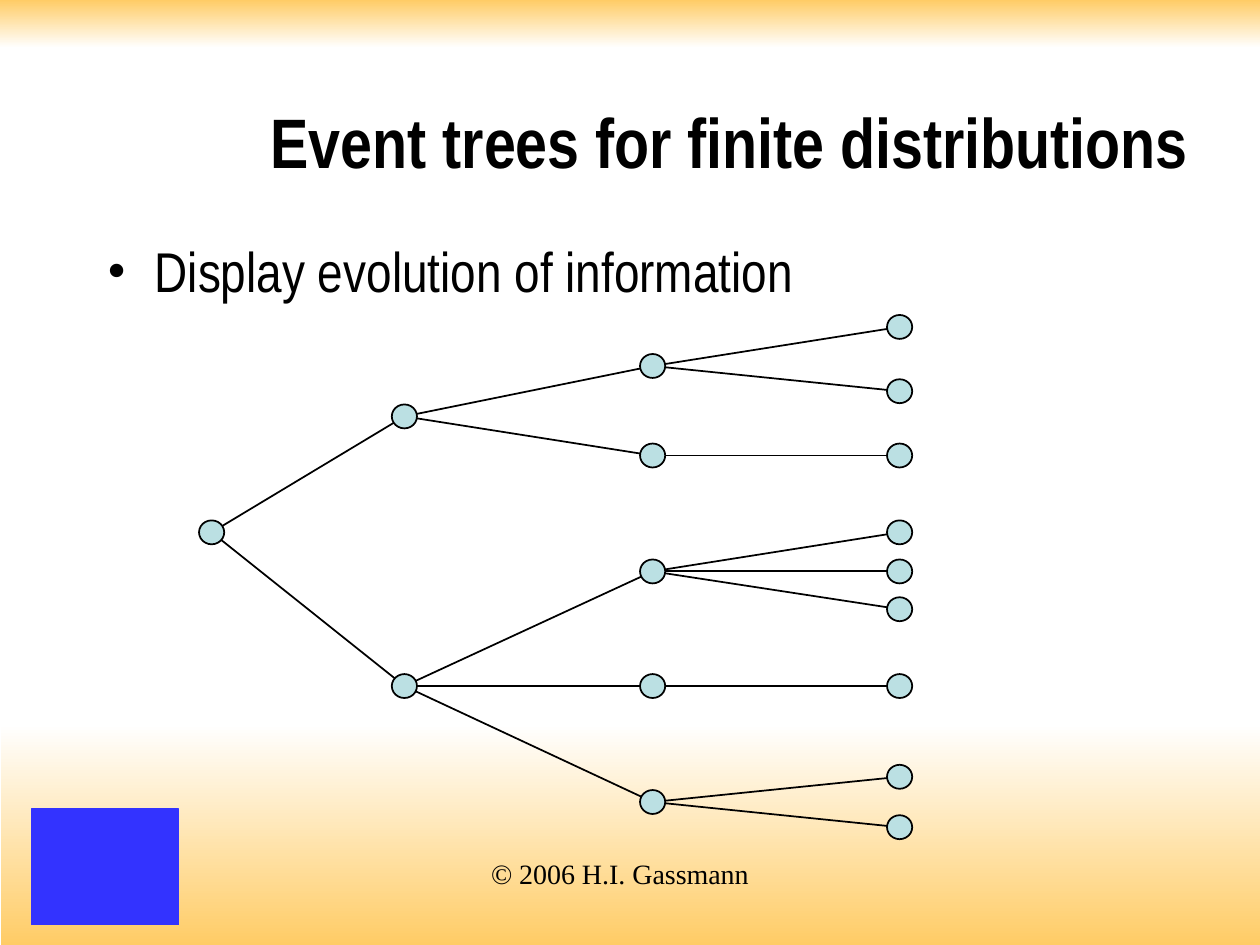
from dataclasses import dataclass

import pptx
import pptx.dml.color
import pptx.enum.shapes
import pptx.enum.text
import pptx.oxml.ns
import pptx.util
from lxml import etree
from pptx.util import Inches


@dataclass(frozen=True)
class Theme:
    text: str = "000000"
    line: str = "000000"
    node: str = "BBE0E3"
    band: str = "FFCC66"
    paper: str = "FFFFFF"
    block: str = "3333FF"
    heading_font: str = "Arial Narrow"
    footer_font: str = "Times New Roman"
    title_size: int = 40
    body_size: int = 32
    footer_size: int = 16
    line_width: float = 1


THEME = Theme()

NODE_WIDTH, NODE_HEIGHT = 0.2, 0.19
STAGE_LEFTS = (0, 1.53, 3.5, 5.46)

# Each node is its offset from the top of the tree and its list of children
EVENT_TREE = (1.63, [
    (0.71, [
        (0.31, [(0, []), (0.51, [])]),
        (1.02, [(1.02, [])]),
    ]),
    (2.85, [
        (1.94, [(1.63, []), (1.94, []), (2.24, [])]),
        (2.85, [(2.85, [])]),
        (3.77, [(3.57, []), (3.97, [])]),
    ]),
])


def color(value):
    return pptx.dml.color.RGBColor.from_string(value)


def add_plain_shape(slide, kind, left, top, width, height):
    shape = slide.shapes.add_shape(
        kind, Inches(left), Inches(top), Inches(width), Inches(height))
    shape.shadow.inherit = False
    shape.line.fill.background()
    return shape


def format_text(text_frame, text, font_name, size, bold=False, alignment=None):
    text_frame.word_wrap = True
    text_frame.text = text
    paragraph = text_frame.paragraphs[0]
    paragraph.alignment = alignment
    font = paragraph.runs[0].font
    font.name, font.size, font.bold = font_name, pptx.util.Pt(size), bold
    font.color.rgb = color(THEME.text)
    return paragraph


def add_band(slide, box, top_color, bottom_color):
    band = add_plain_shape(slide, pptx.enum.shapes.MSO_SHAPE.RECTANGLE, *box)
    band.fill.gradient()
    band.fill.gradient_angle = 270
    for stop, value in zip(band.fill.gradient_stops, (top_color, bottom_color)):
        stop.color.rgb = color(value)
    for stop, position in zip(band.fill.gradient_stops, (0, 1)):
        stop.position = position


def add_corner_block(slide, box):
    block = add_plain_shape(slide, pptx.enum.shapes.MSO_SHAPE.RECTANGLE, *box)
    block.fill.solid()
    block.fill.fore_color.rgb = color(THEME.block)
    block.line.color.rgb = color(THEME.block)
    block.line.width = pptx.util.Pt(0.75)


def add_footer(slide, box):
    footer = slide.shapes.add_textbox(*map(Inches, box))
    format_text(footer.text_frame, "© 2006 H.I. Gassmann", THEME.footer_font,
                THEME.footer_size, alignment=pptx.enum.text.PP_ALIGN.CENTER)


def place_title(slide, box):
    title = slide.shapes.title
    title.left, title.top, title.width, title.height = map(Inches, box)
    text_frame = title.text_frame
    text_frame.auto_size = pptx.enum.text.MSO_AUTO_SIZE.NONE
    text_frame.vertical_anchor = pptx.enum.text.MSO_ANCHOR.BOTTOM
    format_text(text_frame, "Event trees for finite distributions",
                THEME.heading_font, THEME.title_size, bold=True,
                alignment=pptx.enum.text.PP_ALIGN.CENTER)


def add_body(slide, box):
    body = slide.shapes.add_textbox(*map(Inches, box))
    paragraph = format_text(body.text_frame, "Display evolution of information",
                            THEME.heading_font, THEME.body_size)
    # Hanging bullet
    properties = paragraph._p.get_or_add_pPr()
    properties.set("marL", str(Inches(0.38)))
    properties.set("indent", str(-Inches(0.38)))
    bullet_font = etree.SubElement(properties, pptx.oxml.ns.qn("a:buFont"))
    bullet_font.set("typeface", THEME.footer_font)
    etree.SubElement(properties, pptx.oxml.ns.qn("a:buChar")).set("char", "•")


def add_branch(slide, start, end):
    branch = slide.shapes.add_connector(
        pptx.enum.shapes.MSO_CONNECTOR.STRAIGHT,
        *map(Inches, (*start, *end)))
    branch.line.color.rgb = color(THEME.line)
    branch.line.width = pptx.util.Pt(THEME.line_width)
    etree.SubElement(branch._element.spPr, pptx.oxml.ns.qn("a:effectLst"))


def add_node(slide, center):
    node = add_plain_shape(
        slide, pptx.enum.shapes.MSO_SHAPE.OVAL, center[0] - NODE_WIDTH / 2,
        center[1] - NODE_HEIGHT / 2, NODE_WIDTH, NODE_HEIGHT)
    node.fill.solid()
    node.fill.fore_color.rgb = color(THEME.node)
    node.line.color.rgb = color(THEME.line)
    node.line.width = pptx.util.Pt(THEME.line_width)


def add_event_tree(slide, left, top):
    centers = []

    def grow(tree, stage=0):
        offset, children = tree
        center = (left + STAGE_LEFTS[stage] + NODE_WIDTH / 2,
                  top + offset + NODE_HEIGHT / 2)
        centers.append(center)
        for child in children:
            add_branch(slide, center, grow(child, stage + 1))
        return center

    # Branches go behind the nodes
    grow(EVENT_TREE)
    for center in centers:
        add_node(slide, center)


def main():
    presentation = pptx.Presentation()
    presentation.slide_width = Inches(10)
    presentation.slide_height = Inches(7.5)
    slide = presentation.slides.add_slide(presentation.slide_layouts[5])

    # Background decoration and footer
    add_band(slide, (0.01, 5.75, 9.99, 1.75), THEME.paper, THEME.band)
    add_band(slide, (0, 0, 10, 0.38), THEME.band, THEME.paper)
    add_corner_block(slide, (0.25, 6.42, 1.17, 0.92))
    add_footer(slide, (2.92, 6.75, 4, 0.37))

    # Content
    place_title(slide, (1.58, 0.33, 8.42, 1.17))
    add_body(slide, (0.75, 1.83, 8.5, 4.17))
    add_event_tree(slide, 1.58, 2.5)

    presentation.save("out.pptx")


if __name__ == "__main__":
    main()
